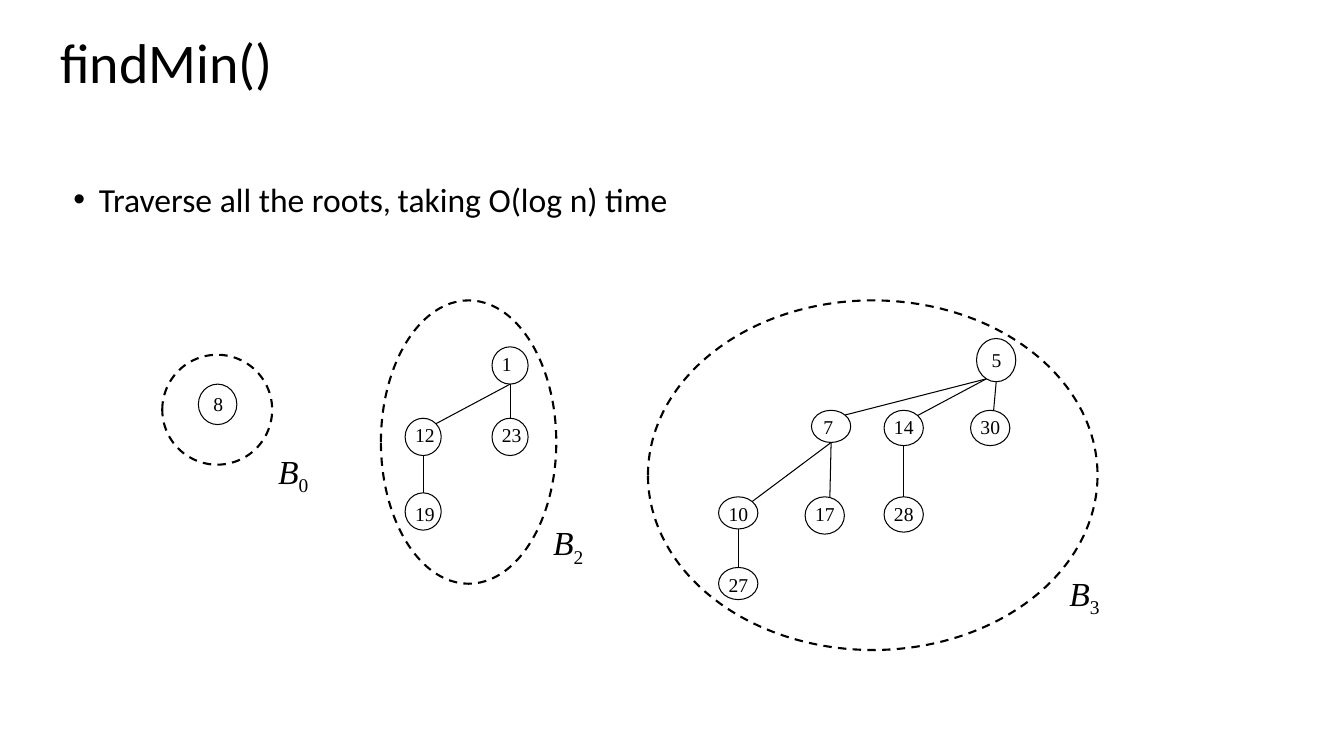
"""Build the findMin() slide with its three binomial trees."""
from math import cos, radians, sin
from lxml import etree
from pptx import Presentation
from pptx.dml.color import RGBColor
from pptx.enum import dml, shapes
from pptx.oxml.ns import qn
from pptx.util import Cm, Pt

THEME = {"ink": RGBColor(0, 0, 0), "sans": "Calibri", "serif": "Times New Roman",
         "title": 40, "body": 24, "comma": 22, "tree": 24, "node": 14,
         "thin": 0.75, "dash": 1.5}

TITLE = "findMin()"
BODY = [("Traverse all the roots", "body"), (", ", "comma"),
        ("taking O(log n) time", "body")]

# key: left, top, width, height, label shift right, label shift down
NODES = {
    "19": (10.21, 12.42, 0.91, 0.94, 0, 0.1),
    "12": (10.21, 10.54, 0.91, 0.94, 0, 0),
    "23": (12.4, 10.54, 0.91, 0.94, 0, 0),
    "1": (12.4, 8.74, 0.91, 0.94, 0, 0),
    "27": (18.11, 14.3, 0.99, 0.81, 0, 0),
    "10": (18.11, 12.52, 0.99, 0.81, 0, 0),
    "17": (20.29, 12.52, 0.99, 0.94, 0, 0),
    "7": (20.45, 10.34, 0.99, 0.81, 0.05, 0),
    "28": (22.28, 12.52, 0.99, 0.89, 0, 0),
    "14": (22.28, 10.34, 0.99, 0.89, 0, 0),
    "30": (24.46, 10.34, 0.99, 0.89, 0, 0),
    "5": (24.61, 8.53, 0.99, 1.09, 0.13, 0.1),
    "8": (5.0, 9.68, 0.97, 1.02, 0.13, 0.08),
}

# parent, child, angle on the parent's rim, angle on the child's rim
EDGES = [
    ("1", "12", 90, -45), ("1", "23", 90, -90), ("12", "19", 90, -90),
    ("5", "7", 120, -45), ("5", "14", 120, -45), ("5", "30", 90, -80),
    ("7", "10", 90, -45), ("7", "17", 90, -75), ("14", "28", 90, -90),
    ("10", "27", 90, -90),
]

# order, label corner, outline box
TREES = [
    ("3", (26.7, 14.3), (16.33, 7.57, 11.33, 8.81)),
    ("2", (13.69, 13.03), (9.6, 7.57, 4.42, 7.14)),
    ("0", (6.76, 11.23), (4.09, 8.94, 2.77, 2.77)),
]


def style(run, size, face):
    run.font.size = Pt(THEME[size])
    run.font.name = THEME[face]
    run.font.color.rgb = THEME["ink"]


def write(slide, box, parts, face, wrap=False):
    frame = slide.shapes.add_textbox(*map(Cm, box)).text_frame
    frame.word_wrap = wrap
    para = frame.paragraphs[0]
    for words, size in parts:
        run = para.add_run()
        run.text = words
        style(run, size, face)
    return para


def bullet(para):
    props = para._p.get_or_add_pPr()
    props.set("marL", str(Cm(0.64)))
    props.set("indent", str(-Cm(0.64)))
    font = etree.SubElement(props, qn("a:buFont"))
    font.set("typeface", "Arial")
    etree.SubElement(props, qn("a:buChar")).set("char", "•")


def ring(slide, box, width):
    oval = slide.shapes.add_shape(shapes.MSO_SHAPE.OVAL, *map(Cm, box))
    oval.shadow.inherit = False
    oval.fill.background()
    oval.line.color.rgb = THEME["ink"]
    oval.line.width = Pt(THEME[width])
    return oval


def rim(key, angle):
    left, top, wide, high = NODES[key][:4]
    turn = radians(angle)
    return (Cm(left + wide / 2 * (1 + cos(turn))),
            Cm(top + high / 2 * (1 + sin(turn))))


def edge(slide, parent, child, start, end):
    line = slide.shapes.add_connector(
        shapes.MSO_CONNECTOR.STRAIGHT, *rim(parent, start), *rim(child, end))
    line.line.color.rgb = THEME["ink"]
    line.line.width = Pt(THEME["thin"])
    etree.SubElement(line._element.spPr, qn("a:effectLst"))


def main():
    deck = Presentation()
    deck.slide_width, deck.slide_height = Cm(33.87), Cm(19.05)
    slide = deck.slides.add_slide(deck.slide_layouts[6])

    head = write(slide, (1.27, 0.76, 23.29, 3.18), [(TITLE, "title")], "sans", True)
    head.line_spacing = 0.9
    bullet(write(slide, (1.6, 4.39, 26.95, 6.05), BODY, "sans", True))

    for left, top, wide, high, _, _ in NODES.values():
        ring(slide, (left, top, wide, high), "thin")
    for link in EDGES:
        edge(slide, *link)
    for key, (left, top, _, _, right, down) in NODES.items():
        write(slide, (left + right, top + down, 1.24, 0.86), [(key, "node")], "serif")

    for order, corner, box in TREES:
        para = write(slide, (*corner, 1.32, 1.3), [("B", "tree"), (order, "tree")], "serif")
        name, sub = para.runs
        name.font.italic = True
        sub.font._element.set("baseline", "-25000")
        ring(slide, box, "dash").line.dash_style = dml.MSO_LINE.DASH

    deck.save("out.pptx")


if __name__ == "__main__":
    main()
